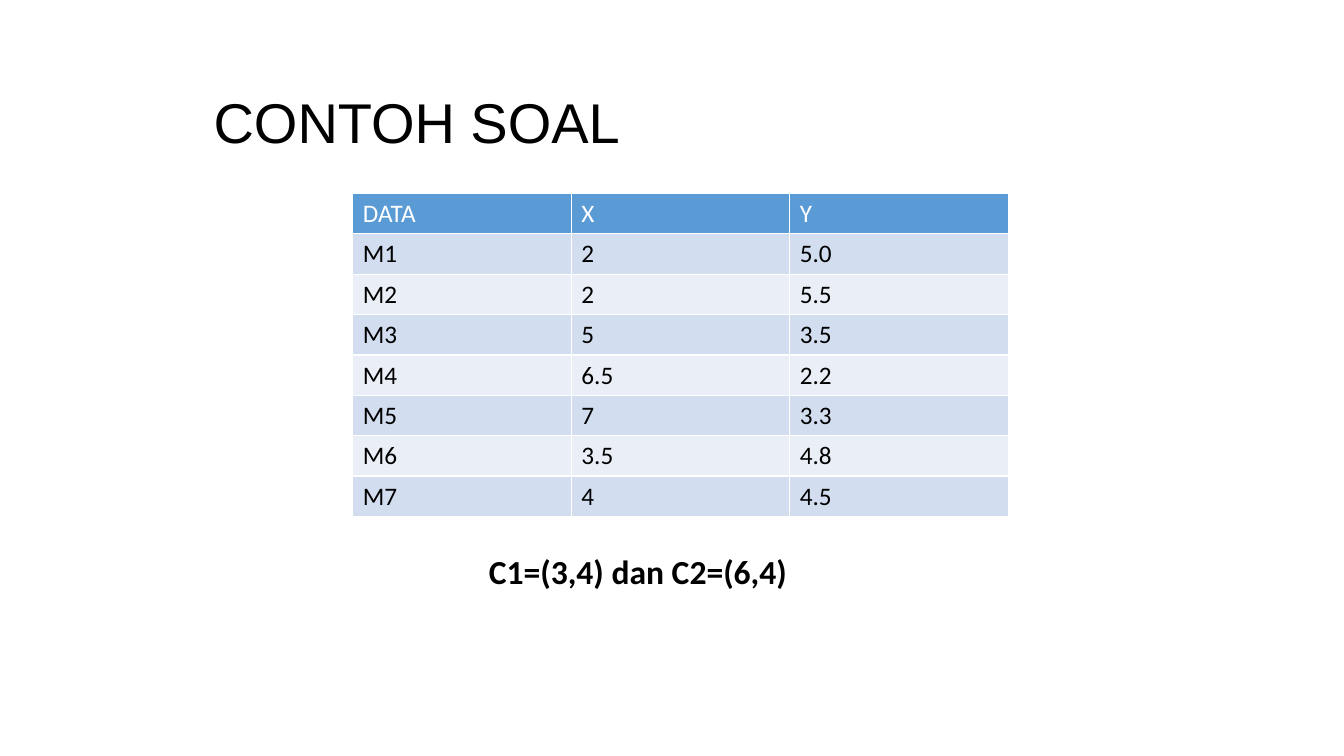
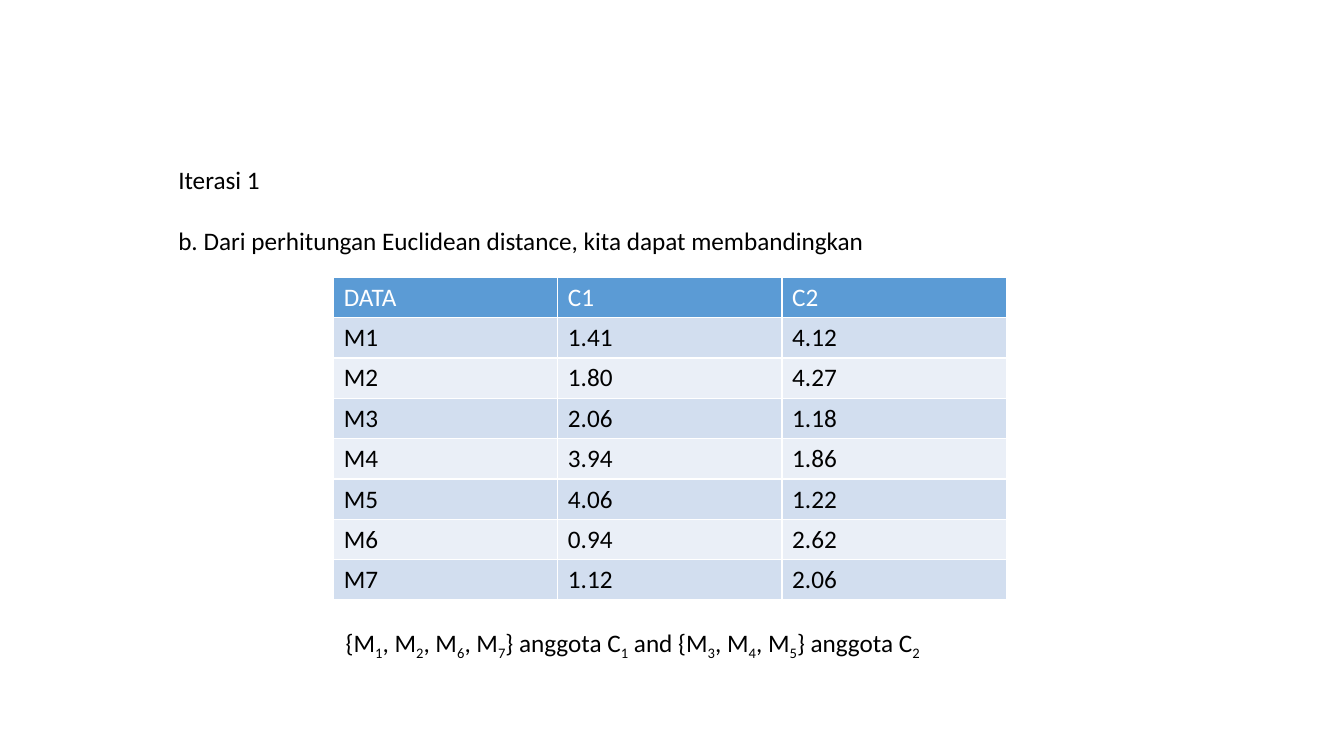
from lxml.etree import SubElement
from pptx import Presentation
from pptx.dml.color import RGBColor
from pptx.enum.text import MSO_ANCHOR
from pptx.oxml.ns import qn
from pptx.util import Inches, Pt

BLACK, WHITE = "000000", "FFFFFF"
HEADER_FILL = "5B9BD5"
BAND_FILLS = ("D2DEEF", "EAEFF7")
TITLE_FONT, BODY_FONT = "Arial", "Calibri"
ROW_HEIGHT = 0.4


def rgb(hex_color):
    return RGBColor.from_string(hex_color)


def style(paragraph, size=18, font=BODY_FONT, color=BLACK, bold=False):
    paragraph.font.size = Pt(size)
    paragraph.font.name = font
    paragraph.font.bold = bold
    paragraph.font.color.rgb = rgb(color)


def add_runs(paragraph, text):
    """Write text; the single character after each underscore is a subscript."""
    first, *rest = text.split("_")
    paragraph.add_run().text = first
    for piece in rest:
        subscript = paragraph.add_run()
        subscript.text = piece[0]
        subscript.font._element.set("baseline", "-25000")
        if piece[1:]:
            paragraph.add_run().text = piece[1:]


def add_text(slide, box, lines, gap=0, anchor=MSO_ANCHOR.TOP, **look):
    frame = slide.shapes.add_textbox(*map(Inches, box)).text_frame
    frame.word_wrap = True
    frame.vertical_anchor = anchor
    for index, line in enumerate(lines):
        paragraph = frame.add_paragraph() if index else frame.paragraphs[0]
        add_runs(paragraph, line)
        style(paragraph, **look)
        if index:
            paragraph.space_before = Pt(gap)
    return frame


def add_title(slide, box, title):
    frame = add_text(slide, box, [title], anchor=MSO_ANCHOR.MIDDLE,
                     size=40, font=TITLE_FONT)
    frame.paragraphs[0].line_spacing = 0.9


def add_borders(cell):
    properties = cell._tc.get_or_add_tcPr()
    for position, side in enumerate(("a:lnL", "a:lnR", "a:lnT", "a:lnB")):
        line = properties.makeelement(qn(side), {"w": str(Pt(1))})
        fill = SubElement(line, qn("a:solidFill"))
        SubElement(fill, qn("a:srgbClr"), val=WHITE)
        properties.insert(position, line)


def add_data_table(slide, left, top, width, rows):
    columns = len(rows[0])
    table = slide.shapes.add_table(
        len(rows), columns, Inches(left), Inches(top),
        Inches(width), Inches(ROW_HEIGHT * len(rows))).table
    for column in table.columns:
        column.width = Inches(width / columns)
    for r, row in enumerate(rows):
        fill = BAND_FILLS[(r - 1) % 2] if r else HEADER_FILL
        for c, value in enumerate(row):
            cell = table.cell(r, c)
            cell.text = value
            style(cell.text_frame.paragraphs[0], color=BLACK if r else WHITE)
            cell.fill.solid()
            cell.fill.fore_color.rgb = rgb(fill)
            add_borders(cell)


def build_problem(slide):
    add_title(slide, (2.02, 0.58, 9.25, 1.33), "CONTOH SOAL")
    add_data_table(slide, 3.5, 1.92, 6.5, [
        ("DATA", "X", "Y"),
        ("M1", "2", "5.0"),
        ("M2", "2", "5.5"),
        ("M3", "5", "3.5"),
        ("M4", "6.5", "2.2"),
        ("M5", "7", "3.3"),
        ("M6", "3.5", "4.8"),
        ("M7", "4", "4.5"),
    ])
    # Starting centroids
    add_text(slide, (4.75, 5.42, 4.17, 0.5), ["C1=(3,4) dan C2=(6,4)"],
             size=24, bold=True)


def build_iteration(slide):
    add_text(slide, (1.67, 1.58, 9.17, 1.01), [
        "Iterasi 1",
        "b. Dari perhitungan Euclidean distance, kita dapat membandingkan",
    ], gap=22)
    add_data_table(slide, 3.31, 2.75, 6.67, [
        ("DATA", "C1", "C2"),
        ("M1", "1.41", "4.12"),
        ("M2", "1.80", "4.27"),
        ("M3", "2.06", "1.18"),
        ("M4", "3.94", "1.86"),
        ("M5", "4.06", "1.22"),
        ("M6", "0.94", "2.62"),
        ("M7", "1.12", "2.06"),
    ])
    # Cluster members
    add_text(slide, (3.33, 6.17, 6.92, 0.4), [
        "{M_1, M_2, M_6, M_7} anggota C_1 and {M_3, M_4, M_5} anggota C_2"])


def main():
    deck = Presentation()
    deck.slide_width, deck.slide_height = Inches(13.33), Inches(7.5)
    for build in (build_problem, build_iteration):
        build(deck.slides.add_slide(deck.slide_layouts[6]))
    deck.save("out.pptx")


if __name__ == "__main__":
    main()
